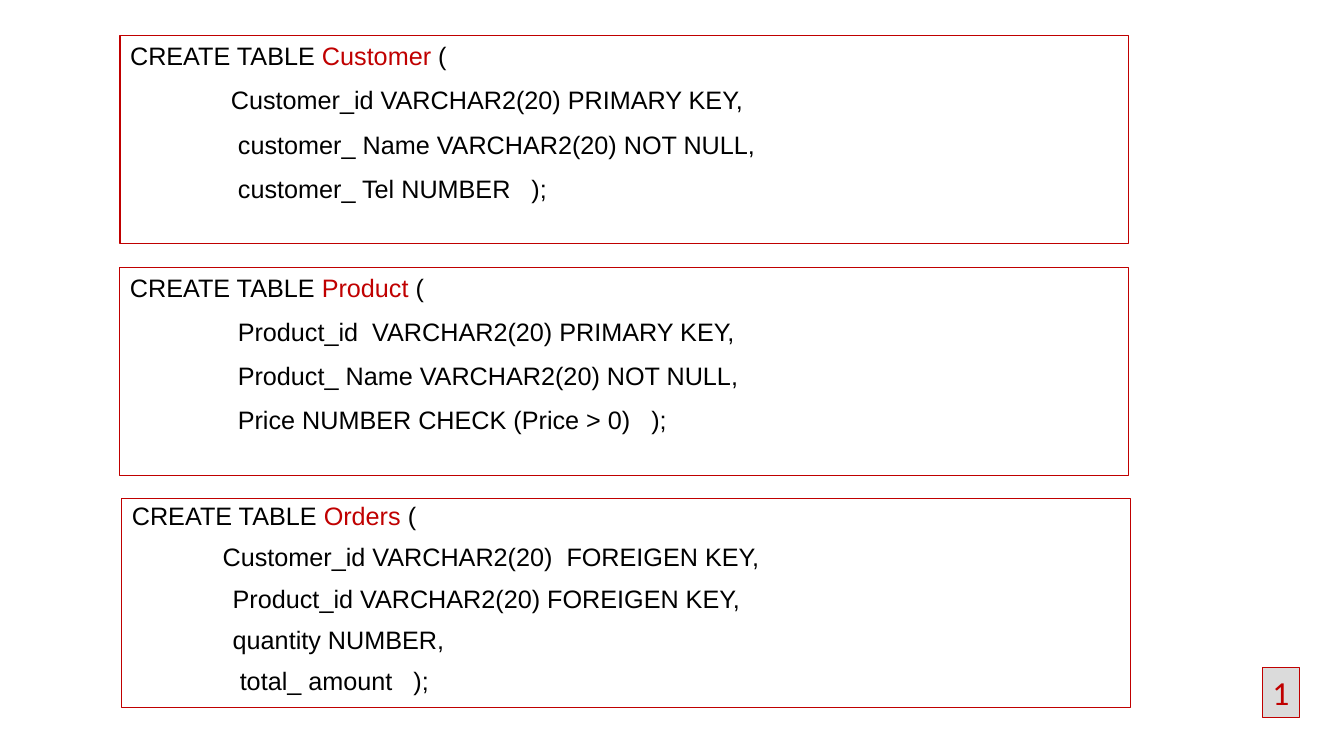
from pptx import Presentation
from pptx.dml.color import RGBColor
from pptx.enum.shapes import MSO_SHAPE
from pptx.enum.text import MSO_ANCHOR, MSO_AUTO_SIZE, PP_ALIGN
from pptx.util import Inches, Pt

RED, BLACK, GREY = "C00000", "000000", "DBDBDB"
TAB, SPACE = 1.0, 0.07  # column indent and width of one space, inches

# table name, left edge, line spacing, [(indent, column definition)]
STATEMENTS = [
    ("Customer", 1.19, 1.0, [
        (TAB, "Customer_id VARCHAR2(20) PRIMARY KEY,"),
        (TAB + SPACE, "customer_ Name VARCHAR2(20) NOT NULL,"),
        (TAB + SPACE, "customer_ Tel NUMBER   );")]),
    ("Product", 1.19, 1.0, [
        (TAB + SPACE, "Product_id  VARCHAR2(20) PRIMARY KEY,"),
        (TAB + SPACE, "Product_ Name VARCHAR2(20) NOT NULL,"),
        (TAB + SPACE, "Price NUMBER CHECK (Price > 0)   );")]),
    ("Orders", 1.21, 0.9, [
        (0.9, "Customer_id VARCHAR2(20)  FOREIGEN KEY,"),
        (TAB, "Product_id VARCHAR2(20) FOREIGEN KEY,"),
        (TAB, "quantity NUMBER,"),
        (TAB + SPACE, "total_ amount   );")]),
]
TOP, PITCH, BOX_W, BOX_H = 0.35, 2.3, 10, 2.07


def color(value):
    """Turn a hex string into a colour."""
    return RGBColor.from_string(value)


def add_run(paragraph, text, hue=BLACK, size=18, font="Arial"):
    """Append one formatted run."""
    run = paragraph.add_run()
    run.text = text
    run.font.size, run.font.name = Pt(size), font
    run.font.color.rgb = color(hue)


def outline(shape, fill=None):
    """Give a shape a thin red frame and an optional fill."""
    shape.line.color.rgb = color(RED)
    shape.line.width = Pt(0.75)
    if fill:
        shape.fill.solid()
        shape.fill.fore_color.rgb = color(fill)
    else:
        shape.fill.background()


def add_box(slide, left, top, width, height, fill=None):
    """Draw a framed rectangle without shadow."""
    box = slide.shapes.add_shape(MSO_SHAPE.RECTANGLE, *map(Inches, (left, top, width, height)))
    box.shadow.inherit = False
    outline(box, fill)
    return box


def write_statement(shape, table, spacing, columns):
    """Write one CREATE TABLE statement, a paragraph per line."""
    frame = shape.text_frame
    frame.word_wrap = True
    frame.auto_size = MSO_AUTO_SIZE.NONE
    frame.vertical_anchor = MSO_ANCHOR.TOP
    heading = [("CREATE TABLE ", BLACK), (table, RED), (" (", BLACK)]
    lines = [(0, heading)] + [(indent, [(text, BLACK)]) for indent, text in columns]
    for number, (indent, runs) in enumerate(lines):
        paragraph = frame.add_paragraph() if number else frame.paragraphs[0]
        paragraph.alignment = PP_ALIGN.LEFT
        paragraph.space_before = Pt(10)
        paragraph.line_spacing = spacing
        properties = paragraph._p.get_or_add_pPr()
        properties.set("marL", str(Inches(indent)))
        properties.set("indent", "0")
        for text, hue in runs:
            add_run(paragraph, text, hue)


def add_page_number(slide, number):
    """Add the framed page number at the lower right."""
    box = add_box(slide, 12.52, 6.62, 0.37, 0.5, GREY)
    frame = box.text_frame
    frame.word_wrap = False
    frame.auto_size = MSO_AUTO_SIZE.SHAPE_TO_FIT_TEXT
    frame.paragraphs[0].alignment = PP_ALIGN.CENTER
    add_run(frame.paragraphs[0], number, RED, 24, "Calibri")


def main():
    """Build and save the slide."""
    deck = Presentation()
    deck.slide_width, deck.slide_height = Inches(13.33), Inches(7.5)
    slide = deck.slides.add_slide(deck.slide_layouts[0])
    title = slide.shapes.title
    title._element.getparent().remove(title._element)
    for row, (table, left, spacing, columns) in enumerate(STATEMENTS):
        place = (left, TOP + row * PITCH, BOX_W, BOX_H)
        if row:
            box = add_box(slide, *place)
        else:
            box = slide.placeholders[1]
            box.left, box.top, box.width, box.height = map(Inches, place)
            outline(box)
        write_statement(box, table, spacing, columns)
    add_page_number(slide, "1")
    deck.save("out.pptx")


main()
